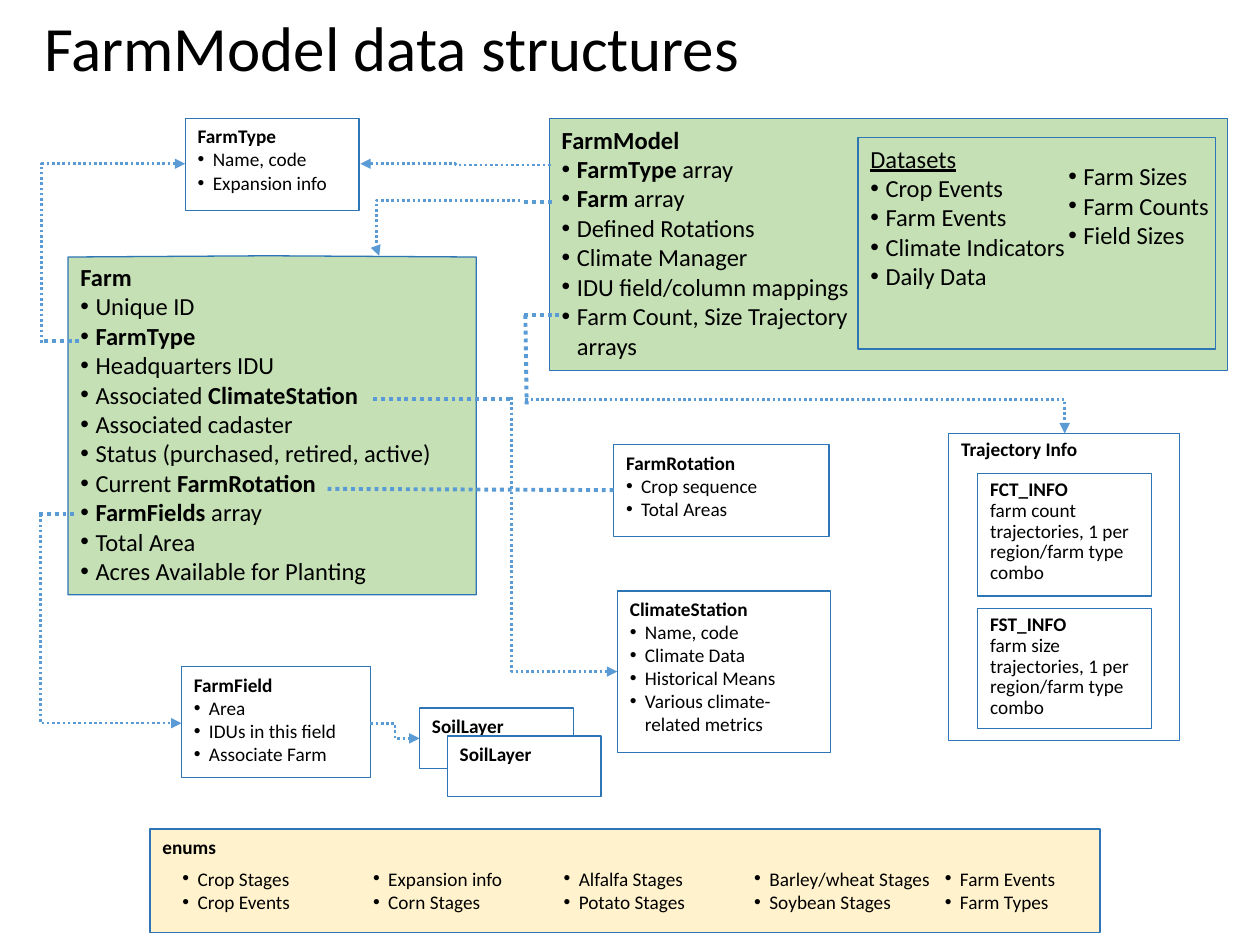
from lxml import etree
from pptx import Presentation
from pptx.dml.color import RGBColor
from pptx.enum.dml import MSO_LINE
from pptx.enum.shapes import MSO_CONNECTOR as LINK, MSO_SHAPE as SHAPE
from pptx.enum.text import MSO_ANCHOR as ANCHOR, MSO_AUTO_SIZE as FIT, PP_ALIGN as ALIGN
from pptx.oxml.ns import qn
from pptx.util import Inches, Pt

BLACK = RGBColor(0, 0, 0)
WHITE = RGBColor(255, 255, 255)
GREEN = RGBColor(0xC5, 0xE0, 0xB4)
CREAM = RGBColor(0xFF, 0xF2, 0xCC)
BORDER = RGBColor(0x2E, 0x75, 0xB6)
ARROW = RGBColor(0x5B, 0x9B, 0xD5)
INDENT = Inches(0.12)


def add_run(para, text, size, bold=False, underline=False):
    span = para.add_run()
    span.text = text
    font = span.font
    font.name, font.size, font.bold = "Calibri", Pt(size), bold
    font.underline = underline
    font.color.rgb = BLACK


def add_spans(para, text, size):
    for number, line in enumerate(text.split("\n")):
        if number:
            para.add_line_break()
        for index, part in enumerate(line.split("*")):
            if part:
                add_run(para, part, size, bold=index % 2 == 1)


def set_bullet(para):
    props = para._p.get_or_add_pPr()
    props.set("marL", str(INDENT))
    props.set("indent", str(-INDENT))
    etree.SubElement(props, qn("a:buFont")).set("typeface", "Arial")
    etree.SubElement(props, qn("a:buChar")).set("char", "•")


def write(box, heading, items, size, underline=False, spacing=None):
    frame = box.text_frame
    frame.word_wrap = True
    frame.vertical_anchor = ANCHOR.TOP
    para = frame.paragraphs[0]
    para.line_spacing = spacing
    if heading and underline:
        add_run(para, heading, size, underline=True)
    elif heading:
        add_spans(para, heading, size)
    for number, item in enumerate(items):
        if heading or number:
            para = frame.add_paragraph()
        set_bullet(para)
        add_spans(para, item, size)
    for para in frame.paragraphs:
        para.alignment = ALIGN.LEFT


def style_box(box, fill):
    box.shadow.inherit = False
    if fill is None:
        box.fill.background()
    else:
        box.fill.solid()
        box.fill.fore_color.rgb = fill
    box.line.color.rgb = BORDER
    box.line.width = Pt(0.75)


def add_box(shapes, place, heading, items=(), fill=None, size=11, **style):
    box = shapes.add_shape(SHAPE.RECTANGLE, *map(Inches, place))
    style_box(box, fill)
    write(box, heading, items, size, **style)


def add_list(shapes, place, items, size, columns=1):
    box = shapes.add_textbox(*map(Inches, place))
    write(box, None, items, size)
    if columns > 1:
        box.text_frame._txBody.bodyPr.set("numCol", str(columns))


def add_farm(shapes):
    builder = shapes.build_freeform(Inches(0.54), Inches(2.04))
    corners = [(2.13, 2.03), (3.78, 2.04), (3.78, 4.72), (0.54, 4.72)]
    builder.add_line_segments([(Inches(x), Inches(y)) for x, y in corners], close=True)
    box = builder.convert_to_shape()
    style_box(box, GREEN)
    write(box, "*Farm*", [
        "Unique ID", "*FarmType*", "Headquarters IDU", "Associated *ClimateStation*",
        "Associated cadaster", "Status (purchased, retired, active)",
        "Current *FarmRotation*", "*FarmFields* array", "Total Area",
        "Acres Available for Planting"], 14)


def add_line(shapes, start, end, kind=LINK.STRAIGHT, width=2.25):
    line = shapes.add_connector(kind, *map(Inches, (*start, *end)))
    line.line.color.rgb = ARROW
    line.line.width = Pt(width)
    line.line.dash_style = MSO_LINE.ROUND_DOT
    etree.SubElement(line._element.spPr, qn("a:effectLst"))
    return line


def add_elbow(shapes, start, end, bend=None):
    line = add_line(shapes, start, end, LINK.ELBOW, 1.5)
    props = line._element.spPr
    outline = props.find(qn("a:ln"))
    etree.SubElement(outline, qn("a:tailEnd")).set("type", "triangle")
    shape = props.find(qn("a:prstGeom"))
    if bend is None:
        shape.set("prst", "bentConnector2")
    else:
        guide = etree.SubElement(shape.find(qn("a:avLst")), qn("a:gd"))
        guide.set("name", "adj1")
        guide.set("fmla", f"val {round(bend * 100000)}")
    return line


def add_vertical_elbow(shapes, start, end):
    (x1, y1), (x2, y2) = start, end
    width, height = abs(y2 - y1), abs(x2 - x1)
    left, top = (x1 + x2 - width) / 2, (y1 + y2 - height) / 2
    line = add_elbow(shapes, (left, top), (left + width, top + height))
    xfrm = line._element.spPr.find(qn("a:xfrm"))
    xfrm.set("flipH", "1")
    if y2 < y1:
        xfrm.set("flipV", "1")
    xfrm.set("rot", str((90 if y2 < y1 else 270) * 60000))


def add_title(page):
    title = page.shapes.title
    title.left, title.top, title.width, title.height = map(Inches, (0.25, 0, 8.62, 0.81))
    frame = title.text_frame
    frame.auto_size = FIT.NONE
    frame.vertical_anchor = ANCHOR.MIDDLE
    para = frame.paragraphs[0]
    para.alignment = ALIGN.LEFT
    para.line_spacing = 0.9
    add_run(para, "FarmModel data structures", 36)


def add_farm_model(page):
    shapes = page.shapes.add_group_shape().shapes
    add_box(shapes, (4.36, 0.94, 5.38, 2), "*FarmModel*", [
        "*FarmType* array", "*Farm* array", "Defined Rotations", "Climate Manager",
        "IDU field/column mappings", "Farm Count, Size Trajectory\narrays"], GREEN, 14)
    add_box(shapes, (6.81, 1.09, 2.84, 1.68), "Datasets", [
        "Crop Events", "Farm Events", "Climate Indicators", "Daily Data"],
        size=14, underline=True)
    add_list(shapes, (8.38, 1.23, 1.51, 0.71),
             ["Farm Sizes", "Farm Counts", "Field Sizes"], 14)


def add_classes(shapes):
    add_box(shapes, (1.47, 0.94, 1.38, 0.73), "*FarmType*", ["Name, code", "Expansion info"])
    add_box(shapes, (4.87, 3.53, 1.71, 0.73), "*FarmRotation*", ["Crop sequence", "Total Areas"])
    add_box(shapes, (4.9, 4.69, 1.69, 1.28), "*ClimateStation*", [
        "Name, code", "Climate Data", "Historical Means", "Various climate-related metrics"])
    add_box(shapes, (1.44, 5.29, 1.5, 0.88), "*FarmField*",
            ["Area", "IDUs in this field", "Associate Farm"])
    for left, top in [(3.33, 5.62), (3.55, 5.84)]:
        add_box(shapes, (left, top, 1.22, 0.48), "*SoilLayer*", fill=WHITE)
    add_box(shapes, (7.53, 3.44, 1.83, 2.44), "*Trajectory Info*", spacing=0.9)
    for top, height, name, topic in [(3.76, 0.97, "FCT", "count"), (4.83, 0.95, "FST", "size")]:
        add_box(shapes, (7.76, top, 1.38, height),
                f"*{name}_INFO*\nfarm {topic} trajectories, 1 per region/farm type combo",
                spacing=0.9)


def add_enums(shapes):
    add_box(shapes, (1.19, 6.58, 7.54, 0.82), "*enums*", fill=CREAM)
    add_list(shapes, (1.35, 6.83, 7.76, 0.48), [
        "Crop Stages", "Crop Events", "Expansion info", "Corn Stages", "Alfalfa Stages",
        "Potato Stages", "Barley/wheat Stages", "Soybean Stages", "Farm Events",
        "Farm Types"], 11, columns=5)


def add_links(shapes):
    for start, end in [
            ((4.05, 3.17), (2.95, 3.17)), ((0.59, 4.08), (0.28, 4.08)),
            ((0.63, 2.71), (0.32, 2.71)), ((4.87, 3.89), (2.59, 3.88)),
            ((4.44, 2.5), (4.13, 2.5)), ((4.38, 1.6), (4.14, 1.6)),
            ((4.17, 2.5), (4.18, 3.21))]:
        add_line(shapes, start, end)
    for start, end in [((4.06, 3.15), (4.9, 5.33)), ((0.33, 2.72), (1.47, 1.3)),
                       ((0.32, 4.08), (1.44, 5.74))]:
        add_vertical_elbow(shapes, start, end)
    for start, end, bend in [
            ((4.37, 1.31), (2.86, 1.3), 0.5), ((4.13, 1.59), (3.01, 2.03), 1.02),
            ((4.17, 3.17), (8.45, 3.44), None), ((2.94, 5.74), (3.33, 5.86), 0.5)]:
        add_elbow(shapes, start, end, bend)


def main():
    deck = Presentation()
    deck.slide_width, deck.slide_height = Inches(10), Inches(7.5)
    page = deck.slides.add_slide(deck.slide_layouts[5])
    add_title(page)
    add_enums(page.shapes)
    add_farm(page.shapes)
    add_farm_model(page)
    add_classes(page.shapes)
    add_links(page.shapes)
    deck.save("out.pptx")


main()
